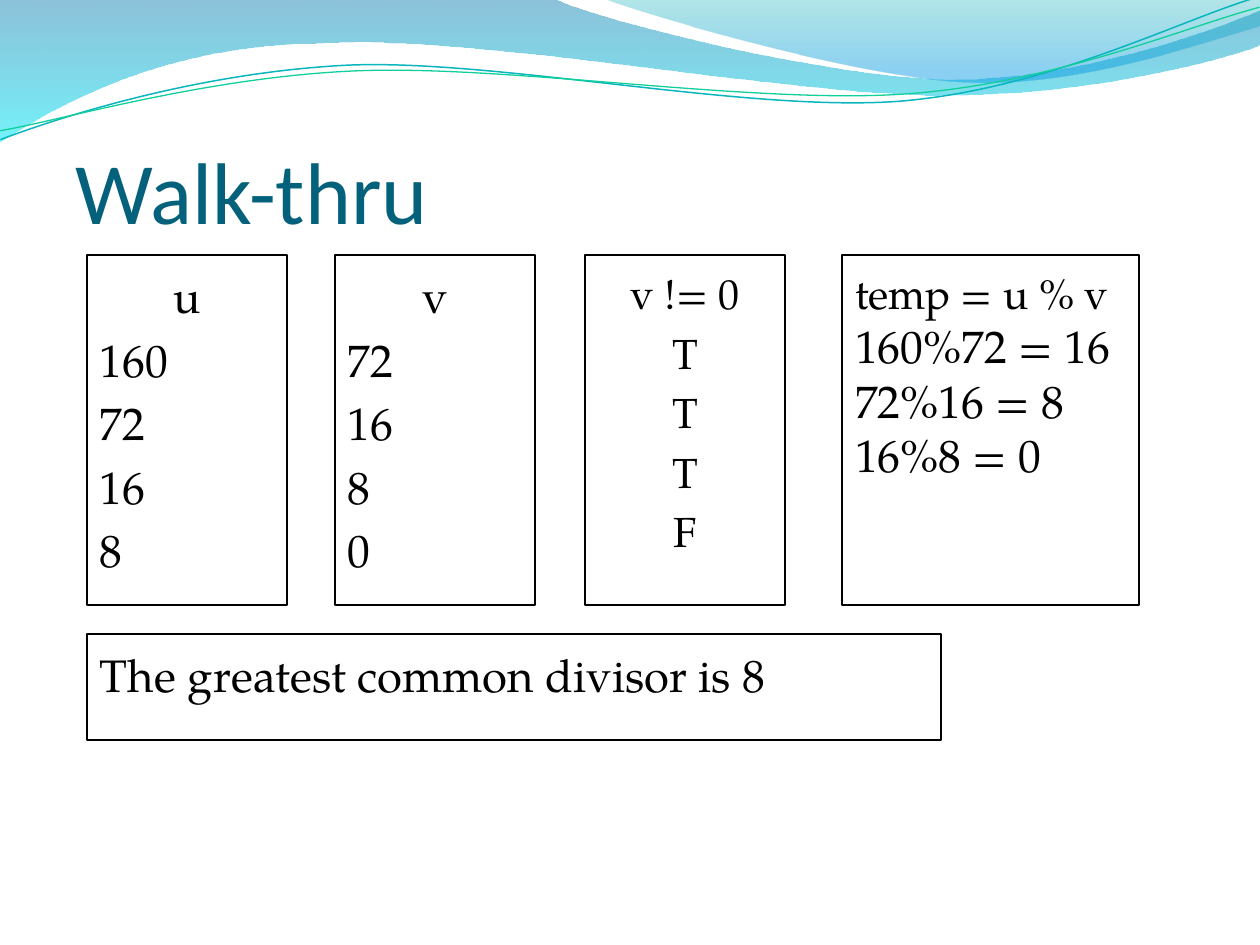
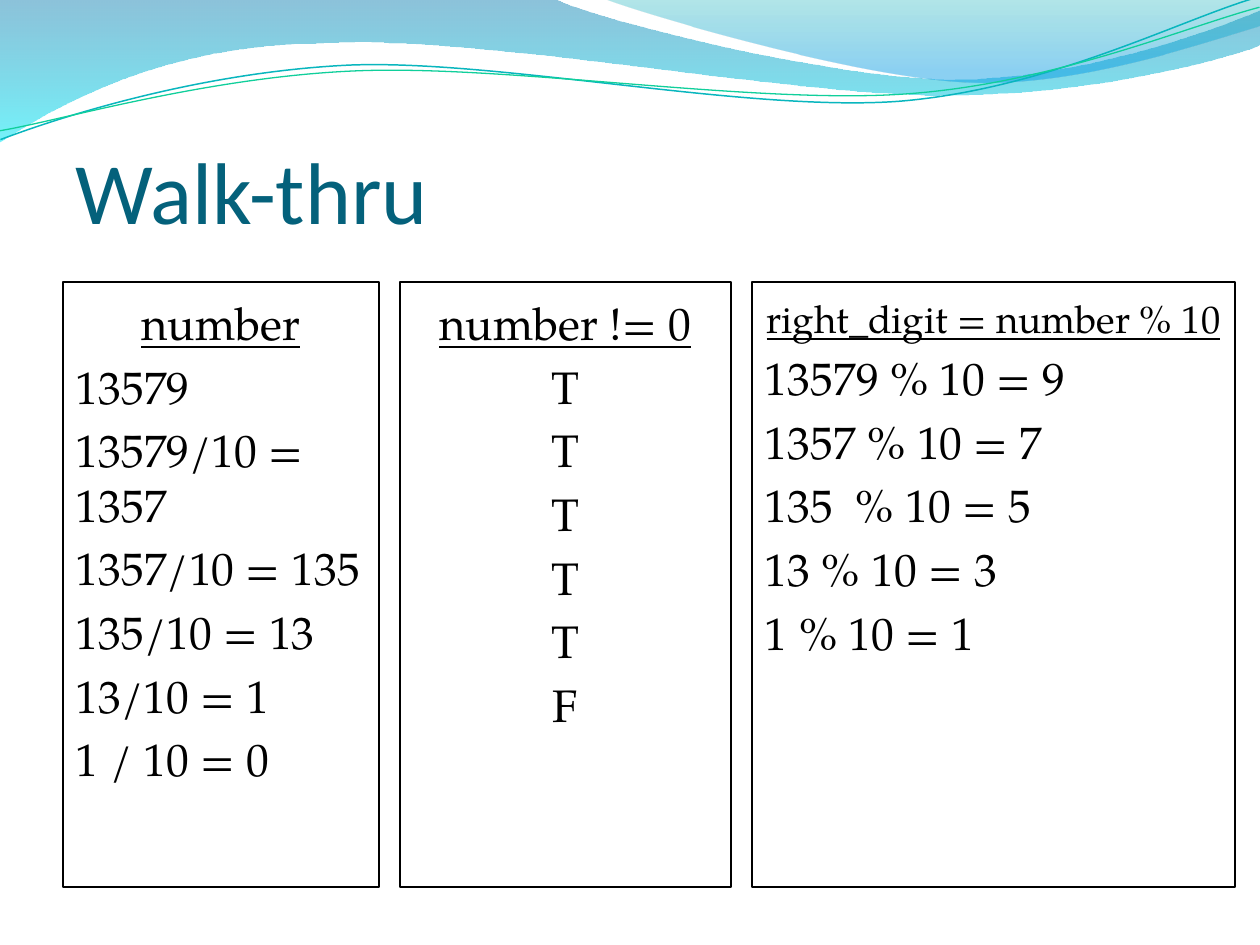
from dataclasses import dataclass

from lxml.etree import SubElement
from pptx import Presentation
from pptx.dml.color import RGBColor
from pptx.enum.shapes import MSO_SHAPE
from pptx.enum.text import MSO_ANCHOR, PP_ALIGN
from pptx.oxml.ns import qn
from pptx.util import Pt

SCALE = 914400 / 126  # EMU in one px
PAGE_SIZE = (1260, 945)
LEFT, CENTER = PP_ALIGN.LEFT, PP_ALIGN.CENTER


@dataclass(frozen=True)
class Theme:
    title_font: str = "Calibri"
    body_font: str = "TeX Gyre Pagella"
    title_color: str = "04617B"
    ink: str = "000000"
    title_size: int = 50
    body_size: int = 26
    small_size: int = 24
    tight_size: int = 22
    gap: float = 5.2
    small_gap: float = 4.8
    border: float = 0.75
    inset_x: int = 13
    inset_y: int = 13


THEME = Theme()

# Content: every box is (left, top, width, height, heading, rows, format changes)
SMALL = {"head_size": THEME.small_size}
UNDERLINED = {"underline": True}

WALK_GCD = [
    (87, 255, 200, 350, "u", ["160", "72", "16", "8"], {}),
    (335, 255, 200, 350, "v", ["72", "16", "8", "0"], {}),
    (842, 255, 297, 350, "temp = u % v", ["160%72 = 16", "72%16 = 8 16%8 = 0"],
     {**SMALL, "head_align": LEFT, "head_gap": THEME.small_gap, "row_gap": 0}),
    (585, 255, 200, 350, "v != 0", ["T", "T", "T", "F"],
     {**SMALL, "row_size": THEME.small_size, "row_align": CENTER}),
    (87, 634, 854, 106, "The greatest common divisor is 8", [], {"head_align": LEFT}),
]
WALK_DIGITS = [
    (63, 282, 316, 605, "number",
     ["13579", "13579/10 = 1357", "1357/10 = 135", "135/10 = 13", "13/10 = 1", "1 / 10 = 0"],
     UNDERLINED),
    (752, 282, 483, 605, "right_digit = number % 10",
     ["13579 % 10 = 9", "1357 % 10 = 7", "135  % 10 = 5", "13 % 10 = 3", "1 % 10 = 1"],
     {**UNDERLINED, "head_size": THEME.tight_size}),
    (400, 282, 331, 605, "number != 0", ["T", "T", "T", "T", "T", "F"],
     {**UNDERLINED, "row_align": CENTER}),
]
PAGES = [("Walk-thru", WALK_GCD), ("Walk-thru", WALK_DIGITS)]
TITLE_PLACE = (63, 97, 1134, 158)

BOX_FORMAT = {
    "head_size": THEME.body_size, "head_align": CENTER, "head_gap": THEME.gap,
    "row_size": THEME.body_size, "row_align": LEFT, "row_gap": THEME.gap,
    "underline": False,
}

# Header waves: a start, then steps of 2 numbers (line) or 6 (Bezier curve)
FILLED_WAVES = [
    ([(0, -1), (554, -1), (600, 21, 837, 79, 955, 79), (1075, 79, 1207, 33, 1260, 11),
      (1261, 45), (1239, 55, 1096, 96, 940, 95), (784, 95, 481, 35, 324, 43),
      (163, 44, 58, 105, -1, 142), (0, -1)],
     [(0, "0079AD", 45), (100, "00E9F7", 55)]),
    ([(604, -1), (641, 14, 859, 78, 969, 82), (1079, 87, 1211, 40, 1260, 26),
      (1260, 0), (604, -1)],
     [(0, "00ABB4", 30), (80, "0099E4", 45), (100, "0099E4", 45)]),
]
LINE_WAVES = [
    ([(-2, 110), (59, 90, 200, 52, 350, 52), (499, 53, 745, 118, 897, 114),
      (1048, 109, 1184, 45, 1260, 27)], "09B6BE", 0.85),
    ([(-2, 101), (58, 94, 207, 57, 357, 58), (508, 59, 751, 110, 902, 107),
      (1052, 104, 1187, 53, 1262, 37)], "10CF9B", 0.75),
]
LINE_WAVE_TURN = 357.3


def emu(*lengths):
    return [round(length * SCALE) for length in lengths]


def set_all(target, values):
    for name, value in values.items():
        setattr(target, name, value)


def add_wave(page, steps, close):
    """Draw straight sides through all points, then bend each three into a curve."""
    start, *others = steps
    builder = page.shapes.build_freeform(*start, scale=SCALE)
    points = [step[i:i + 2] for step in others for i in range(0, len(step), 2)]
    builder.add_line_segments(points, close=close)
    wave = builder.convert_to_shape()
    wave.shadow.inherit = False

    sides = iter(list(wave._element.iter(qn("a:lnTo"))))
    for step in others:
        side = next(sides)
        if len(step) == 6:
            side.tag = qn("a:cubicBezTo")
            for _ in range(2):
                extra = next(sides)
                side.append(extra[0])
                extra.getparent().remove(extra)
    return wave


def fill_gradient(shape, stops):
    shape.fill.gradient()
    shape.fill.gradient_angle = 270  # top to bottom
    stop_list = shape._element.spPr.find(".//" + qn("a:gsLst"))
    for old_stop in list(stop_list):
        stop_list.remove(old_stop)
    for position, color, opacity in stops:
        stop = SubElement(stop_list, qn("a:gs"), pos=str(position * 1000))
        tint = SubElement(stop, qn("a:srgbClr"), val=color)
        SubElement(tint, qn("a:alpha"), val=str(opacity * 1000))


def set_line(shape, color, width):
    shape.line.color.rgb = RGBColor.from_string(color)
    shape.line.width = Pt(width)


def set_frame(box, anchor):
    inset_x, inset_y = emu(THEME.inset_x, THEME.inset_y)
    set_all(box.text_frame, {
        "word_wrap": True, "vertical_anchor": anchor,
        "margin_left": inset_x, "margin_right": inset_x,
        "margin_top": inset_y, "margin_bottom": inset_y,
    })


def write(para, text, font, size, color, align=LEFT, gap=0, underline=False):
    set_all(para, {"alignment": align, "space_before": Pt(gap)})
    span = para.add_run()
    span.text = text
    set_all(span.font, {"name": font, "size": Pt(size), "underline": underline})
    span.font.color.rgb = RGBColor.from_string(color)


def add_header(page, title):
    for steps, stops in FILLED_WAVES:
        wave = add_wave(page, steps, close=True)
        fill_gradient(wave, stops)
        wave.line.fill.background()
    for steps, color, width in LINE_WAVES:
        wave = add_wave(page, steps, close=False)
        wave.rotation = LINE_WAVE_TURN
        wave.fill.background()
        set_line(wave, color, width)
    box = page.shapes.add_textbox(*emu(*TITLE_PLACE))
    set_frame(box, MSO_ANCHOR.BOTTOM)
    write(box.text_frame.paragraphs[0], title, THEME.title_font,
          THEME.title_size, THEME.title_color)


def add_trace_box(page, left, top, width, height, heading, rows, changes):
    look = {**BOX_FORMAT, **changes}
    box = page.shapes.add_shape(MSO_SHAPE.RECTANGLE, *emu(left, top, width, height))
    box.shadow.inherit = False
    box.fill.background()
    set_line(box, THEME.ink, THEME.border)
    set_frame(box, MSO_ANCHOR.TOP)
    write(box.text_frame.paragraphs[0], heading, THEME.body_font, look["head_size"],
          THEME.ink, look["head_align"], look["head_gap"], look["underline"])
    for row in rows:
        write(box.text_frame.add_paragraph(), row, THEME.body_font, look["row_size"],
              THEME.ink, look["row_align"], look["row_gap"])


def main():
    deck = Presentation()
    deck.slide_width, deck.slide_height = emu(*PAGE_SIZE)
    for title, boxes in PAGES:
        page = deck.slides.add_slide(deck.slide_layouts[6])
        add_header(page, title)
        for box in boxes:
            add_trace_box(page, *box)
    deck.save("out.pptx")


if __name__ == "__main__":
    main()
